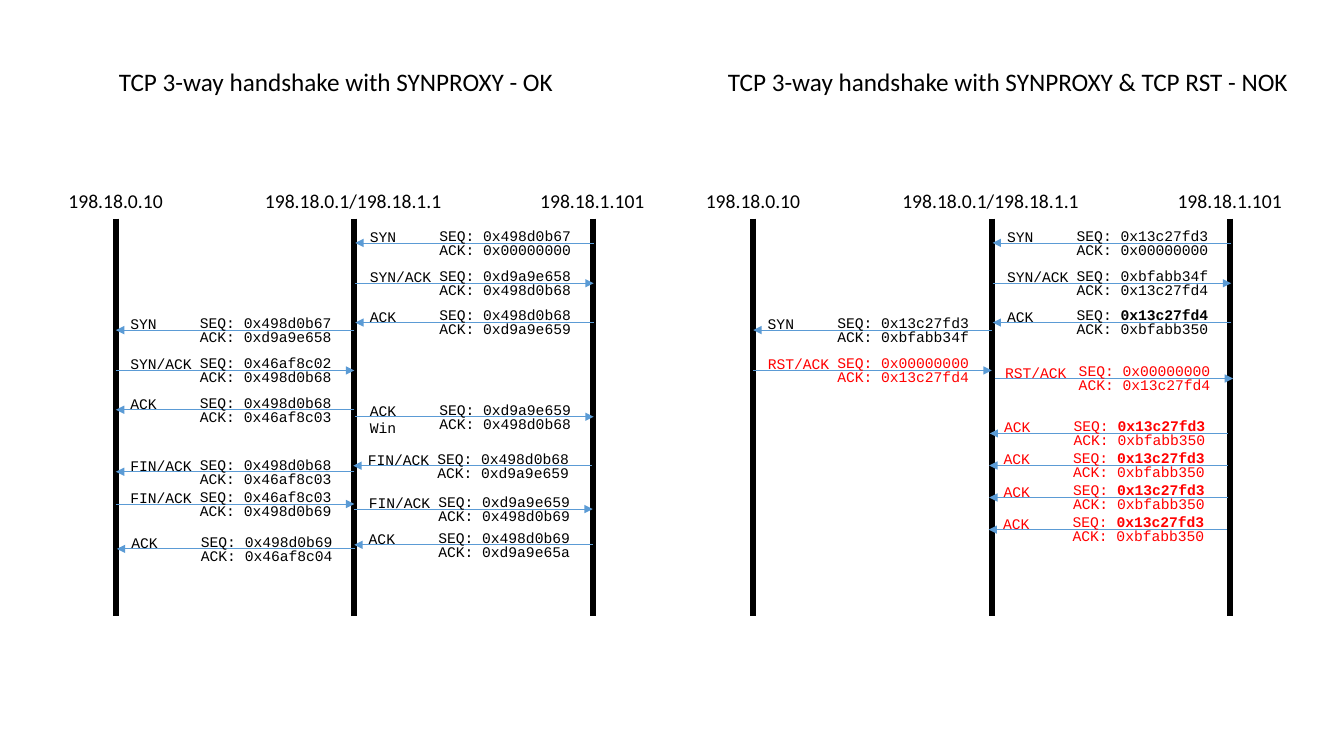
from dataclasses import dataclass

from lxml.etree import SubElement
from pptx import Presentation
from pptx.dml.color import RGBColor
from pptx.enum.shapes import MSO_CONNECTOR
from pptx.enum.text import MSO_ANCHOR, MSO_AUTO_SIZE, PP_ALIGN
from pptx.oxml.ns import qn
from pptx.util import Inches, Pt


@dataclass(frozen=True)
class Theme:
    black: str = "000000"
    red: str = "FF0000"
    blue: str = "5B9BD5"
    sans: str = "Calibri"
    mono: str = "Courier New"
    title_size: float = 18
    host_size: float = 14
    message_size: float = 10.5
    message_leading: float = 10
    lifeline_width: float = 4.5
    arrow_width: float = 0.5


@dataclass(frozen=True)
class Message:
    lane: int
    heading: str
    row: float
    label: str
    seq: str
    ack: str
    color: str = Theme.black
    shift: float = 0
    label_shift: float = 0


THEME = Theme()
UNITS_PER_INCH = 10
SLIDE_COLUMNS, SLIDE_ROWS = 133.33, 75
FIRST_LIFELINE = 11.5
LANE_COLUMNS = 23.65
PANEL_COLUMNS = 63.23
LIFELINE_TOP, LIFELINE_BOTTOM = 21.7, 61.1
LEFT, RIGHT = "left", "right"

HOSTS = [
    ("198.18.0.10", 5.8, 11.5),
    ("198.18.0.1/198.18.1.1", 25.3, 19.7),
    ("198.18.1.101", 52.6, 12.5),
]

OK_MESSAGES = [
    Message(1, LEFT, 24.1, "SYN", "0x498d0b67", "0x00000000", shift=0.1),
    Message(1, RIGHT, 28.1, "SYN/ACK", "0xd9a9e658", "0x498d0b68", shift=0.1),
    Message(1, LEFT, 32, "ACK", "0x498d0b68", "0xd9a9e659", shift=0.1),
    Message(0, LEFT, 32.75, "SYN", "0x498d0b67", "0xd9a9e658"),
    Message(0, RIGHT, 36.75, "SYN/ACK", "0x46af8c02", "0x498d0b68"),
    Message(0, LEFT, 40.65, "ACK", "0x498d0b68", "0x46af8c03"),
    Message(1, RIGHT, 41.35, "ACK\nWin", "0xd9a9e659", "0x498d0b68", shift=0.1),
    Message(1, LEFT, 46.2, "FIN/ACK", "0x498d0b68", "0xd9a9e659", shift=-0.1),
    Message(0, LEFT, 46.8, "FIN/ACK", "0x498d0b68", "0x46af8c03"),
    Message(0, RIGHT, 50, "FIN/ACK", "0x46af8c03", "0x498d0b69"),
    Message(1, RIGHT, 50.5, "FIN/ACK", "0xd9a9e659", "0x498d0b69"),
    Message(1, LEFT, 54.05, "ACK", "0x498d0b69", "0xd9a9e65a"),
    Message(0, LEFT, 54.45, "ACK", "0x498d0b69", "0x46af8c04", shift=0.1),
]

RESET_MESSAGES = [
    Message(1, LEFT, 24.1, "SYN", "0x13c27fd3", "0x00000000", shift=0.1),
    Message(1, RIGHT, 28.1, "SYN/ACK", "0xbfabb34f", "0x13c27fd4", shift=0.1),
    Message(1, LEFT, 32, "ACK", "*0x13c27fd4*", "0xbfabb350", shift=0.1),
    Message(0, LEFT, 32.75, "SYN", "0x13c27fd3", "0xbfabb34f"),
    Message(0, RIGHT, 36.75, "RST/ACK", "0x00000000", "0x13c27fd4", THEME.red),
    Message(1, RIGHT, 37.55, "RST/ACK", "0x00000000", "0x13c27fd4", THEME.red, 0.3, -0.4),
] + [
    Message(1, LEFT, 43 + 3.18 * index, "ACK", "*0x13c27fd3*", "0xbfabb350", THEME.red, shift)
    for index, shift in enumerate([-0.2, -0.25, -0.25, -0.3])
]


def units(count):
    return Inches(count / UNITS_PER_INCH)


def write(frame, text, *, font, size, color=THEME.black, align=PP_ALIGN.LEFT, leading=None):
    para = frame.paragraphs[0]
    para.alignment = align
    if leading:
        para.line_spacing = Pt(leading)
    for line_number, line in enumerate(text.split("\n")):
        if line_number:
            para.add_line_break()
        for part_number, part in enumerate(line.split("*")):
            if part:
                span = para.add_run()
                span.text = part
                span.font.name = font
                span.font.size = Pt(size)
                span.font.bold = part_number % 2 == 1
                span.font.color.rgb = RGBColor.from_string(color)


def add_text(shapes, text, left, top, width, height, **text_format):
    box = shapes.add_textbox(units(left), units(top), units(width), units(height))
    box.text_frame.word_wrap = False
    box.text_frame.auto_size = MSO_AUTO_SIZE.SHAPE_TO_FIT_TEXT
    write(box.text_frame, text, **text_format)


def add_line(shapes, start, end, color, width, arrow=False):
    ends = [units(value) for value in (*start, *end)]
    connector = shapes.add_connector(MSO_CONNECTOR.STRAIGHT, *ends)
    connector.line.color.rgb = RGBColor.from_string(color)
    connector.line.width = Pt(width)
    if arrow:
        SubElement(connector.line._get_or_add_ln(), qn("a:tailEnd"), type="triangle")
    SubElement(connector._element.spPr, qn("a:effectLst"))


def place_heading(placeholder, text, left):
    placeholder.left, placeholder.top = units(left), units(6.1)
    placeholder.width, placeholder.height = units(SLIDE_COLUMNS / 2), units(4)
    frame = placeholder.text_frame
    frame.word_wrap = True
    frame.auto_size = MSO_AUTO_SIZE.SHAPE_TO_FIT_TEXT
    frame.vertical_anchor = MSO_ANCHOR.TOP
    para = frame.paragraphs[0]
    para.space_before = Pt(0)
    write(frame, text, font=THEME.sans, size=THEME.title_size, align=PP_ALIGN.CENTER)


def add_lifelines(shapes, offset):
    group = shapes.add_group_shape()
    for index, (address, left, width) in enumerate(HOSTS):
        column = offset + FIRST_LIFELINE + index * LANE_COLUMNS
        add_line(group.shapes, (column, LIFELINE_TOP), (column, LIFELINE_BOTTOM),
                 THEME.black, THEME.lifeline_width)
        add_text(shapes, address, offset + left, 18.3, width, 3.4,
                 font=THEME.sans, size=THEME.host_size)


def add_message(shapes, message, offset):
    group = shapes.add_group_shape()
    left = offset + FIRST_LIFELINE + message.lane * LANE_COLUMNS + message.shift
    start, end = (left, message.row), (left + LANE_COLUMNS, message.row)
    if message.heading == LEFT:
        start, end = end, start
    add_line(group.shapes, start, end, THEME.blue, THEME.arrow_width, arrow=True)
    text_format = dict(font=THEME.mono, size=THEME.message_size, color=message.color)
    lines = message.label.split("\n")
    add_text(group.shapes, message.label, left + 0.45 + message.label_shift, message.row - 2,
             1.9 + 0.9 * max(map(len, lines)), 1.1 + 1.7 * len(lines), **text_format)
    add_text(group.shapes, f"SEQ: {message.seq}\nACK: {message.ack}", left + 7.35,
             message.row - 1.75, 15.2, 3.85, leading=THEME.message_leading, **text_format)


def add_panel(shapes, messages, offset):
    add_lifelines(shapes, offset)
    for message in messages:
        add_message(shapes, message, offset)


def main():
    deck = Presentation()
    deck.slide_width, deck.slide_height = units(SLIDE_COLUMNS), units(SLIDE_ROWS)
    page = deck.slides.add_slide(deck.slide_layouts.get_by_name("Comparison"))
    title, heading, *unused = page.placeholders
    for placeholder in unused:
        placeholder._element.getparent().remove(placeholder._element)
    place_heading(title, "TCP 3-way handshake with SYNPROXY - OK", 0)
    place_heading(heading, "TCP 3-way handshake with SYNPROXY & TCP RST - NOK", SLIDE_COLUMNS / 2)
    add_panel(page.shapes, OK_MESSAGES, 0)
    add_panel(page.shapes, RESET_MESSAGES, PANEL_COLUMNS)
    deck.save("out.pptx")


main()
